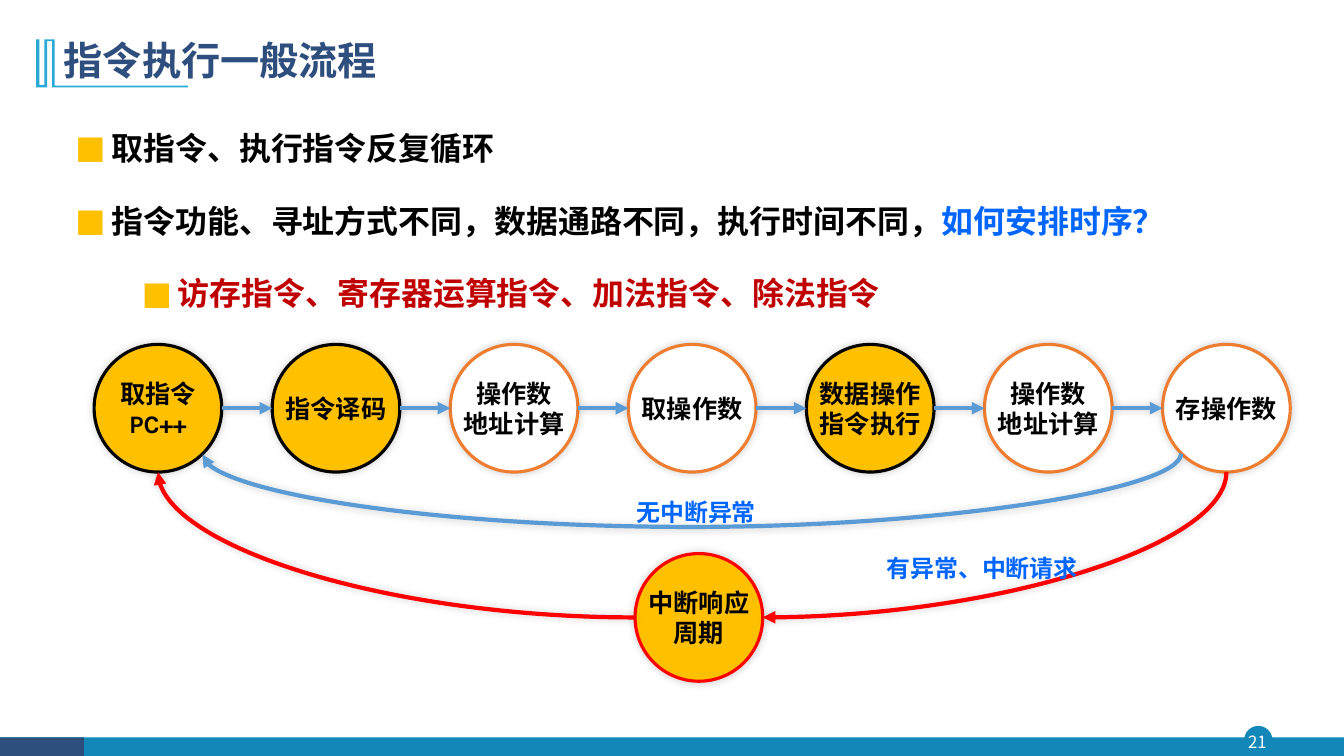
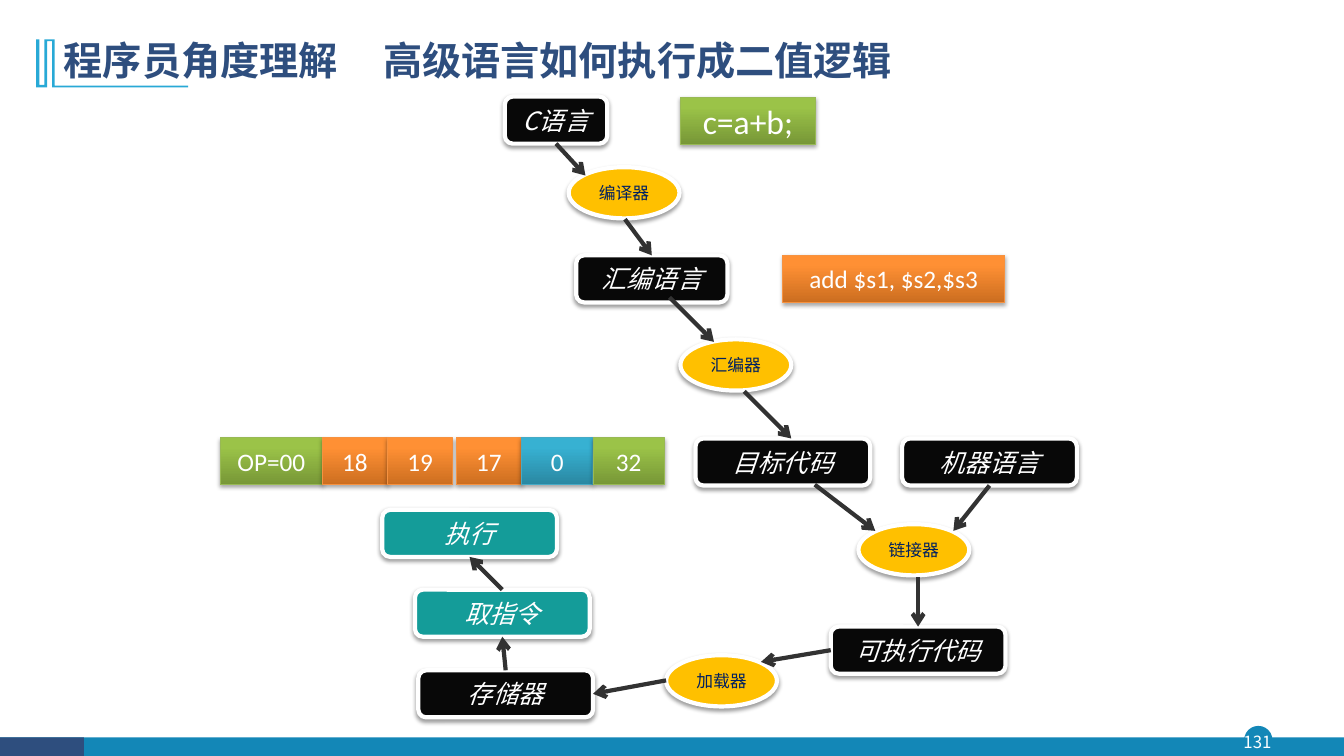
from lxml.etree import SubElement
from pptx import Presentation
from pptx.dml.color import RGBColor
from pptx.enum.shapes import MSO_CONNECTOR, MSO_SHAPE
from pptx.enum.text import MSO_ANCHOR, MSO_AUTO_SIZE, PP_ALIGN
from pptx.oxml.ns import qn
from pptx.util import Emu, Inches, Pt

BLACK = RGBColor(0x00, 0x00, 0x00)
WHITE = RGBColor(0xFF, 0xFF, 0xFF)
NAVY = RGBColor(0x2E, 0x4E, 0x7E)
BAND = RGBColor(0x13, 0x87, 0xB7)
ACCENT = RGBColor(0x28, 0xA9, 0xD6)
GOLD = RGBColor(0xFF, 0xC0, 0x00)
ORANGE = RGBColor(0xED, 0x7D, 0x31)
RED = RGBColor(0xFF, 0x00, 0x00)
CRIMSON = RGBColor(0xC0, 0x00, 0x00)
BRIGHT_BLUE = RGBColor(0x00, 0x66, 0xFF)
FLOW_BLUE = RGBColor(0x5B, 0x9B, 0xD5)
INK = RGBColor(0x08, 0x08, 0x08)
TEAL = RGBColor(0x14, 0x9C, 0x99)
TOOL_TEXT = RGBColor(0x00, 0x20, 0x60)
ARROW_GREY = RGBColor(0x32, 0x32, 0x32)
GREEN_CODE = (RGBColor(0x77, 0x97, 0x37), RGBColor(0x9B, 0xC3, 0x48), RGBColor(0x98, 0xB9, 0x55))
ORANGE_CODE = (RGBColor(0xCC, 0x6E, 0x20), RGBColor(0xFF, 0x90, 0x34), RGBColor(0xF6, 0x92, 0x40))
BLUE_CODE = (RGBColor(0x2A, 0x88, 0xA2), RGBColor(0x37, 0xB1, 0xD2), RGBColor(0x46, 0xAA, 0xC5))

CJK = "Noto Sans CJK SC"
TITLE_FONT = {"name": CJK, "size": Pt(28), "bold": True}
NUMBER_FONT = {"name": CJK, "size": Pt(12)}
POINT_FONT = {"name": CJK, "size": Pt(22.8), "bold": True}
STEP_FONT = {"name": "Karla", "size": Pt(18), "bold": True}
NOTE_FONT = {"name": "Karla", "size": Pt(17.1), "bold": True}
STAGE_FONT = {"name": CJK, "size": Pt(18), "italic": True}
TOOL_FONT = {"name": CJK, "size": Pt(12)}
CODE_FONT = {"name": "Calibri", "size": Pt(18)}
CENTRED = {"alignment": PP_ALIGN.CENTER}
NO_INSETS = {"margin_left": 0, "margin_right": 0, "margin_top": 0, "margin_bottom": 0}

GLOW = {"alpha": 20, "blur": 6, "dist": 0, "angle": 315}
DROP = {"alpha": 38, "blur": 3.1, "dist": 1.7, "angle": 90}

COLUMNS, ROWS = 16, 9
TOP, LEFT, BOTTOM, RIGHT = range(4)


def assign(target, values):
    for key, value in values.items():
        setattr(target, key, value)


def plain(text, colour):
    return [[(line, colour)] for line in text.split("\n")]


class Deck:
    def __init__(self):
        self.deck = Presentation()
        assign(self.deck, {"slide_width": Inches(13.333), "slide_height": Inches(7.5)})
        self.slide = None

    def col(self, count):
        return Emu(round(self.deck.slide_width * count / COLUMNS))

    def row(self, count):
        return Emu(round(self.deck.slide_height * count / ROWS))

    def place(self, x, y, w, h):
        return self.col(x), self.row(y), self.col(w), self.row(h)

    def typeset(self, frame, paragraphs, font, layout=None):
        for index, runs in enumerate(paragraphs):
            paragraph = frame.paragraphs[0] if index == 0 else frame.add_paragraph()
            assign(paragraph, layout or {})
            for text, colour in runs:
                run = paragraph.add_run()
                run.text = text
                assign(run.font, font)
                run.font.color.rgb = colour
                SubElement(run._r.get_or_add_rPr(), qn("a:ea"), typeface=font["name"])

    def shadow(self, shape, alpha, blur, dist, angle):
        effects = shape._element.spPr.find(qn("a:effectLst"))
        outer = SubElement(effects, qn("a:outerShdw"), blurRad=str(Pt(blur)), dist=str(Pt(dist)),
                           dir=str(angle * 60000), algn="ctr", rotWithShape="0")
        tint = SubElement(outer, qn("a:srgbClr"), val=str(BLACK))
        SubElement(tint, qn("a:alpha"), val=str(alpha * 1000))

    def shape(self, kind, box, fill, line=None, width=1.0, shadow=None):
        shape = self.slide.shapes.add_shape(kind, *self.place(*box))
        self.paint(shape, fill, line, width, shadow)
        return shape

    def paint(self, shape, fill, line=None, width=1.0, shadow=None):
        shape.shadow.inherit = False
        if isinstance(fill, tuple) and not isinstance(fill, RGBColor):
            shape.fill.gradient()
            shape.fill.gradient_angle = 90
            for stop, colour, position in zip(shape.fill.gradient_stops, fill, (0, 0.8)):
                stop.color.rgb = colour
                stop.position = position
        else:
            shape.fill.solid()
            shape.fill.fore_color.rgb = fill
        if line is None:
            shape.line.fill.background()
        else:
            shape.line.color.rgb = line
            shape.line.width = Pt(width)
        if shadow:
            self.shadow(shape, **shadow)

    def label(self, shape, text, font, colour, wrap=True):
        frame = shape.text_frame
        assign(frame, {"word_wrap": wrap, "vertical_anchor": MSO_ANCHOR.MIDDLE})
        self.typeset(frame, plain(text, colour), font, CENTRED)

    def text(self, box, paragraphs, font, layout=None, frame_format=None):
        frame = self.slide.shapes.add_textbox(*self.place(*box)).text_frame
        assign(frame, {"word_wrap": True, **(frame_format or {})})
        self.typeset(frame, paragraphs, font, layout)
        return frame

    def page(self, title, number, tab=None):
        self.slide = self.deck.slides.add_slide(self.deck.slide_layouts[5])
        self.shape(MSO_SHAPE.OVAL, (14.82, 8.65, 0.32, 0.32), BAND, BAND)
        self.shape(MSO_SHAPE.RECTANGLE, (0, 8.78, 16, 0.22), BAND)
        self.shape(MSO_SHAPE.RECTANGLE, (0, 8.78, 1, 0.22), NAVY)
        self.text((14.78, 8.65, 0.38, 0.37), plain(number, WHITE), NUMBER_FONT, CENTRED,
                  {**NO_INSETS, "vertical_anchor": MSO_ANCHOR.MIDDLE})
        corners = [(0.65, 0.47), (0.65, 1.02), (2.24, 1.02), (2.24, 1.04), (0.62, 1.04),
                   (0.62, 0.49), (0.56, 0.49), (0.56, 1.04), (0.43, 1.04), (0.43, 0.47),
                   (0.47, 0.47), (0.47, 1.01), (0.53, 1.01), (0.53, 0.47)]
        points = [(self.col(x), self.row(y)) for x, y in corners]
        outline = self.slide.shapes.build_freeform(*points[0], scale=1.0)
        outline.add_line_segments(points[1:], close=True)
        self.paint(outline.convert_to_shape(), ACCENT)
        heading = self.slide.shapes.title
        assign(heading, dict(zip(("left", "top", "width", "height"),
                                 self.place(0.64, 0.34, 13.8, 0.82))))
        frame = heading.text_frame
        assign(frame, {"auto_size": MSO_AUTO_SIZE.NONE, "word_wrap": True,
                       "vertical_anchor": MSO_ANCHOR.MIDDLE})
        if tab:
            stops = SubElement(frame.paragraphs[0]._p.get_or_add_pPr(), qn("a:tabLst"))
            SubElement(stops, qn("a:tab"), pos=str(self.col(tab)), algn="l")
        self.typeset(frame, plain(title, NAVY), TITLE_FONT,
                     {"alignment": PP_ALIGN.LEFT, "line_spacing": 0.9})

    def points(self, box, items):
        frame = self.text(box, [runs for _, runs in items], POINT_FONT,
                          {"line_spacing": Pt(40.6), "space_after": Pt(5.7)})
        for index, (level, _) in enumerate(items):
            paragraph = frame.paragraphs[index]
            paragraph.level = level
            if index:
                paragraph.space_before = Pt(5.7)
            properties = paragraph._p.get_or_add_pPr()
            properties.set("marL", str(self.col((0.43, 1.22)[level])))
            properties.set("indent", str(-self.col(0.43)))
            tint = SubElement(properties, qn("a:buClr"))
            SubElement(tint, qn("a:srgbClr"), val=str(GOLD))
            SubElement(properties, qn("a:buFont"), typeface="Calibri")
            SubElement(properties, qn("a:buChar"), char="■")

    def step(self, x, y, text, fill, line):
        circle = self.shape(MSO_SHAPE.OVAL, (x, y, 1.52, 1.52), fill, line, 2.25, GLOW)
        self.label(circle, text, STEP_FONT, BLACK, wrap=False)

    def stage(self, x, y, text, fill=INK, width=2.08):
        block = self.shape(MSO_SHAPE.ROUNDED_RECTANGLE, (x, y, width, 0.56), fill, WHITE, 3, DROP)
        self.label(block, text, STAGE_FONT, WHITE)
        return block

    def tool(self, x, y, text):
        oval = self.shape(MSO_SHAPE.OVAL, (x, y, 1.32, 0.61), GOLD, WHITE, 3, DROP)
        self.label(oval, text, TOOL_FONT, TOOL_TEXT)

    def code(self, x, y, width, text, palette, size=18):
        cell = self.shape(MSO_SHAPE.RECTANGLE, (x, y, width, 0.56), palette[:2], palette[2], 0.75,
                          {**DROP, "alpha": 35})
        self.label(cell, text, {**CODE_FONT, "size": Pt(size)}, WHITE)

    def finish(self, connector, colour, head, shadow=None):
        connector.line.color.rgb = colour
        connector.line.width = Pt(3)
        properties = connector._element.spPr
        SubElement(properties.find(qn("a:ln")), qn("a:tailEnd"), type=head)
        SubElement(properties, qn("a:effectLst"))
        if shadow:
            self.shadow(connector, **shadow)

    def arrow(self, start, end, colour=ARROW_GREY, head="arrow", shadow=None):
        connector = self.slide.shapes.add_connector(MSO_CONNECTOR.STRAIGHT, 0, 0, 0, 0)
        for (target, at), side, join in ((start, "begin", connector.begin_connect),
                                         (end, "end", connector.end_connect)):
            if isinstance(target, (int, float)):
                assign(connector, {f"{side}_x": self.col(target), f"{side}_y": self.row(at)})
            else:
                join(target, at)
        self.finish(connector, colour, head, shadow)

    def curve(self, start, end, colour, turn, preset, bend=None):
        (x1, y1), (x2, y2) = [(self.col(x), self.row(y)) for x, y in (start, end)]
        width, height = abs(x2 - x1), abs(y2 - y1)
        if turn == 90:
            width, height = height, width
        left, top = (x1 + x2 - width) // 2, (y1 + y2 - height) // 2
        connector = self.slide.shapes.add_connector(
            MSO_CONNECTOR.CURVE, left, top, left + width, top + height)
        properties = connector._element.spPr
        properties.find(qn("a:xfrm")).set("rot", str(turn * 60000))
        geometry = properties.find(qn("a:prstGeom"))
        geometry.set("prst", preset)
        if bend:
            SubElement(geometry.find(qn("a:avLst")), qn("a:gd"), name="adj1",
                       fmla=f"val {bend * 100000}")
        self.finish(connector, colour, "triangle", GLOW)

    def note(self, x, y, width, text):
        self.text((x, y, width, 0.64), plain(text, BRIGHT_BLUE), NOTE_FONT,
                  {"line_spacing": 1.5}, {"word_wrap": False})


def instruction_flow(deck):
    deck.page("指令执行一般流程", "21")
    deck.points((0.78, 1.25, 14.18, 2.59), [
        (0, [("取指令、执行指令反复循环", BLACK)]),
        (0, [("指令功能、寻址方式不同，数据通路不同，执行时间不同，", BLACK),
             ("如何安排时序？", BRIGHT_BLUE)]),
        (1, [("访存指令、寄存器运算指令、加法指令、除法指令", CRIMSON)]),
    ])
    core, optional = (GOLD, BLACK), (WHITE, ORANGE)
    steps = [("取指令\nPC++", core), ("指令译码", core), ("操作数\n地址计算", optional),
             ("取操作数", optional), ("数据操作\n指令执行", core),
             ("操作数\n地址计算", optional), ("存操作数", optional)]
    for index, (text, colours) in enumerate(steps):
        x = 1.12 + 2.12 * index
        deck.step(x, 4.1, text, *colours)
        if index:
            deck.arrow((x - 0.6, 4.86), (x, 4.86), FLOW_BLUE, "triangle", GLOW)
    deck.curve((14.06, 5.4), (2.41, 5.41), FLOW_BLUE, 90, "curvedConnector3", 88)
    deck.note(7.46, 5.69, 1.68, "无中断异常")
    deck.step(7.56, 6.59, "中断响应\n周期", GOLD, RED)
    deck.curve((14.6, 5.62), (9.08, 7.35), RED, 90, "curvedConnector2")
    deck.curve((7.56, 7.35), (1.88, 5.62), RED, 180, "curvedConnector2")
    deck.note(10.44, 6.36, 2.54, "有异常、中断请求")


def language_levels(deck):
    deck.page("程序员角度理解\t高级语言如何执行成二值逻辑", "131", tab=3.8)
    deck.code(8.1, 1.16, 1.61, "c=a+b;", GREEN_CODE, 24)
    deck.code(9.32, 3.04, 2.64, "add $s1, $s2,$s3", ORANGE_CODE)
    x = 2.62
    for text, width, gap, palette in [
            ("OP=00", 1.22, 0, GREEN_CODE), ("18", 0.77, 0, ORANGE_CODE),
            ("19", 0.78, 0.04, ORANGE_CODE), ("17", 0.78, 0, ORANGE_CODE),
            ("0", 0.85, 0, BLUE_CODE), ("32", 0.85, 0, GREEN_CODE)]:
        deck.code(x, 5.21, width, text, palette)
        x += width + gap
    source = deck.stage(6.01, 1.15, "C语言", width=1.22)
    assembly = deck.stage(6.86, 3.04, "汇编语言", width=1.8)
    deck.stage(8.28, 5.22, "目标代码")
    machine = deck.stage(10.74, 5.22, "机器语言")
    executable = deck.stage(9.89, 7.46, "可执行代码")
    memory = deck.stage(4.98, 7.98, "存储器")
    fetch = deck.stage(4.94, 7.02, "取指令", TEAL)
    execute = deck.stage(4.55, 6.07, "执行", TEAL)
    for tool in [(6.77, 1.99, "编译器"), (8.1, 4.04, "汇编器"),
                 (10.22, 6.24, "链接器"), (7.93, 7.8, "加载器")]:
        deck.tool(*tool)
    for start, end in [
            ((source, BOTTOM), (6.97, 2.09)), ((7.44, 2.61), (assembly, TOP)),
            ((7.97, 3.54), (8.5, 4.07)), ((8.86, 4.66), (9.42, 5.22)),
            ((9.7, 5.77), (10.42, 6.32)), ((machine, BOTTOM), (11.35, 6.32)),
            ((10.93, 6.87), (executable, TOP)), ((executable, LEFT), (9.06, 7.88)),
            ((7.93, 8.1), (memory, RIGHT)), ((memory, TOP), (fetch, BOTTOM)),
            ((fetch, TOP), (execute, BOTTOM))]:
        deck.arrow(start, end)


def main():
    deck = Deck()
    instruction_flow(deck)
    language_levels(deck)
    deck.deck.save("out.pptx")


if __name__ == "__main__":
    main()
